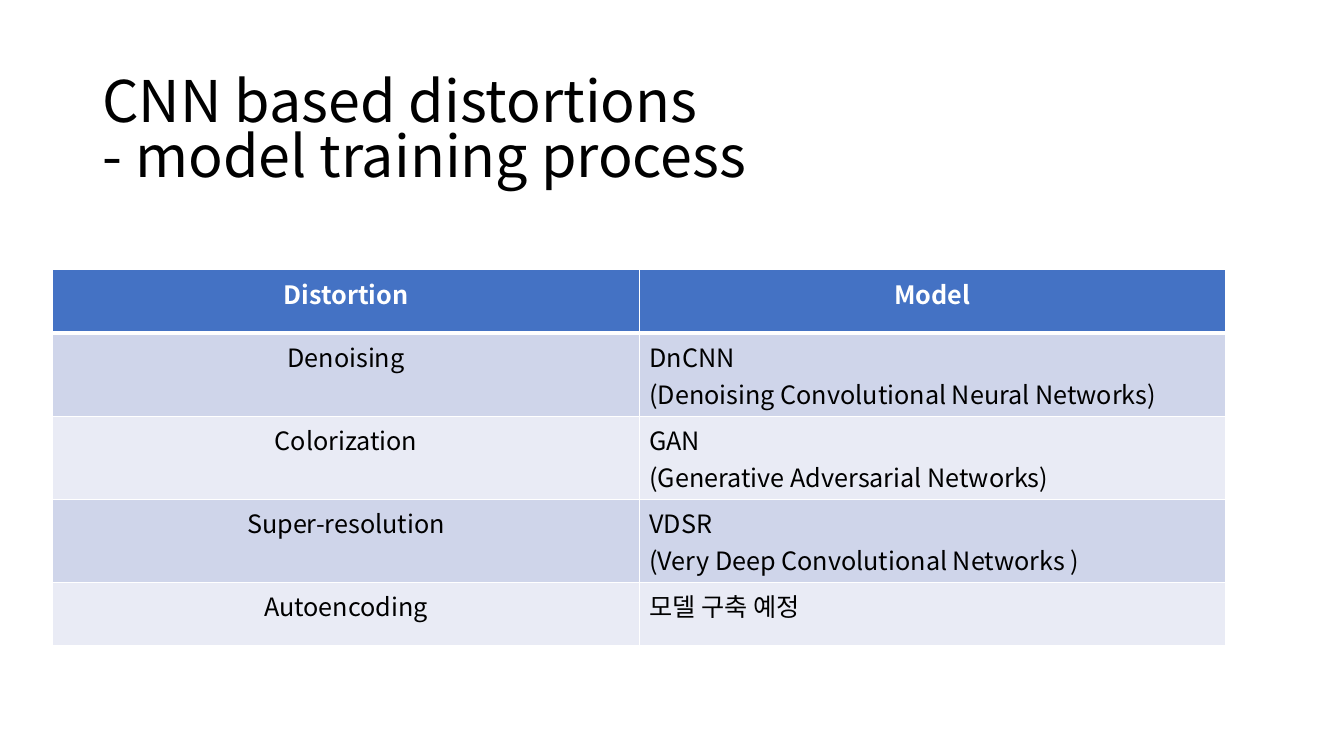
from pptx import Presentation
from pptx.dml.color import RGBColor
from pptx.enum import text
from pptx.oxml import parse_xml
from pptx.oxml.ns import nsdecls
from pptx.util import Cm, Pt

FONT = "Noto Sans CJK KR"
BLACK, WHITE = "000000", "FFFFFF"
HEADER_FILL = "4472C4"
BAND_FILLS = ("CFD5EA", "E9EBF5")
ROWS = [
    ("Distortion", ["Model"]),
    ("Denoising", ["DnCNN", "(Denoising Convolutional Neural Networks)"]),
    ("Colorization", ["GAN", "(Generative Adversarial Networks)"]),
    ("Super-resolution", ["VDSR", "(Very Deep Convolutional Networks )"]),
    ("Autoencoding", ["모델 구축 예정"]),
]


def color(hex_value):
    return RGBColor.from_string(hex_value)


def add_run(p, content, size, hex_value, bold=False):
    r = p.add_run()
    r.text = content
    r.font.size = Pt(size)
    r.font.bold = bold
    r.font.color.rgb = color(hex_value)
    r.font.name = FONT
    r.font._element.append(parse_xml(f'<a:ea {nsdecls("a")} typeface="{FONT}"/>'))


def add_title(s, lines):
    tf = s.shapes.add_textbox(Cm(2.33), Cm(1.52), Cm(29.21), Cm(3.68)).text_frame
    tf.word_wrap = True
    tf.auto_size = text.MSO_AUTO_SIZE.TEXT_TO_FIT_SHAPE
    tf.vertical_anchor = text.MSO_ANCHOR.MIDDLE
    p = tf.paragraphs[0]
    p.line_spacing = 0.9
    for i, line in enumerate(lines):
        if i:
            p.add_line_break()
        add_run(p, line, 44, BLACK)


def set_borders(cell, bottom):
    """Draw white borders, 1 pt wide except for the given bottom width."""
    for side, width in (("L", 1), ("R", 1), ("T", 1), ("B", bottom)):
        cell._tc.get_or_add_tcPr().append(parse_xml(
            f'<a:ln{side} {nsdecls("a")} w="{Pt(width)}"><a:solidFill>'
            f'<a:srgbClr val="{WHITE}"/></a:solidFill></a:ln{side}>'))


def fill_cell(cell, lines, row, centered):
    header = row == 0
    set_borders(cell, 3 if header else 1)
    cell.fill.solid()
    cell.fill.fore_color.rgb = color(HEADER_FILL if header else BAND_FILLS[(row - 1) % 2])
    tf = cell.text_frame
    for i, line in enumerate(lines):
        p = tf.add_paragraph() if i else tf.paragraphs[0]
        p.alignment = text.PP_ALIGN.CENTER if centered else text.PP_ALIGN.LEFT
        add_run(p, line, 18, WHITE if header else BLACK, header)


def add_model_table(s):
    row_height = Cm(1.6)
    table = s.shapes.add_table(len(ROWS), 2, Cm(1.33), Cm(6.8), Cm(29.56),
                               row_height * len(ROWS)).table
    for row, (distortion, model) in enumerate(ROWS):
        fill_cell(table.cell(row, 0), [distortion], row, True)
        fill_cell(table.cell(row, 1), model, row, row == 0)


def main():
    prs = Presentation()
    prs.slide_width, prs.slide_height = Cm(33.87), Cm(19.05)
    s = prs.slides.add_slide(prs.slide_layouts[6])
    add_title(s, ["CNN based distortions", "- model training process"])
    add_model_table(s)
    prs.save("out.pptx")


if __name__ == "__main__":
    main()
